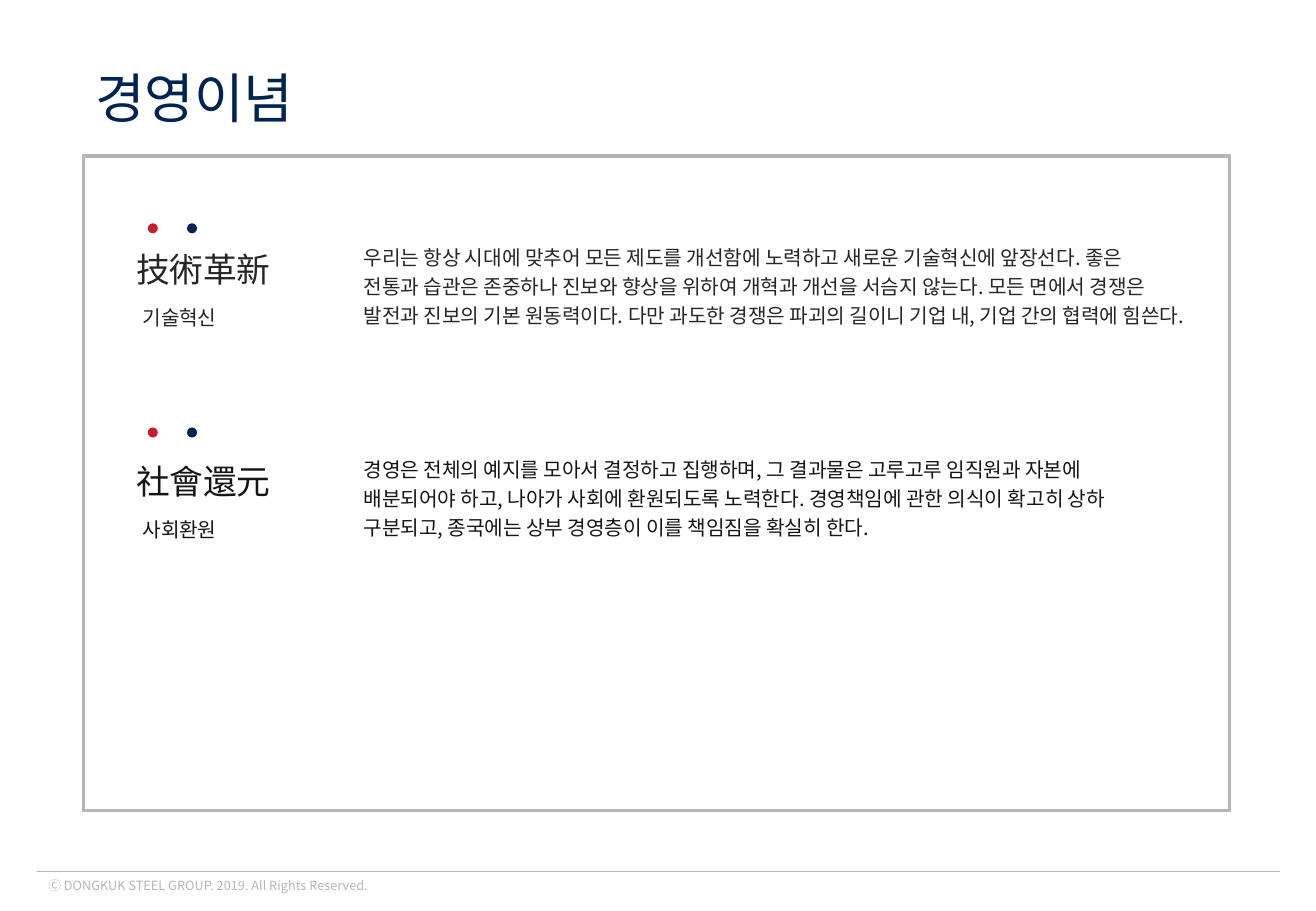
import pptx
import pptx.dml.color
import pptx.enum.shapes
import pptx.enum.text
import pptx.oxml
import pptx.oxml.ns
import pptx.util
from pptx.util import Cm

FONT = "Noto Sans CJK KR"
NAVY, RED, GREY = "002452", "C51F2A", "B6B6B6"
ALIGN = pptx.enum.text.PP_ALIGN
ANCHOR = pptx.enum.text.MSO_ANCHOR
SHAPES = pptx.enum.shapes.MSO_SHAPE

PRINCIPLES = [
    {"top": 4.9, "dot_rise": 0.23, "width": 17.58, "color": "262626",
     "hanja": "技術革新", "hangul": "기술혁신",
     "body": "우리는 항상 시대에 맞추어 모든 제도를 개선함에 노력하고 새로운 기술혁신에 앞장선다. "
             "좋은 전통과 습관은 존중하나 진보와 향상을 위하여 개혁과 개선을 서슴지 않는다. "
             "모든 면에서 경쟁은 발전과 진보의 기본 원동력이다. "
             "다만 과도한 경쟁은 파괴의 길이니 기업 내, 기업 간의 협력에 힘쓴다."},
    {"top": 9.33, "dot_rise": 0.39, "width": 17.22, "color": "161516",
     "hanja": "社會還元", "hangul": "사회환원",
     "body": "경영은 전체의 예지를 모아서 결정하고 집행하며, 그 결과물은 고루고루 임직원과 자본에 "
             "배분되어야 하고, 나아가 사회에 환원되도록 노력한다. "
             "경영책임에 관한 의식이 확고히 상하 구분되고, "
             "종국에는 상부 경영층이 이를 책임짐을 확실히 한다."},
]


def rgb(value):
    """Turn a hex string into a colour."""
    return pptx.dml.color.RGBColor.from_string(value)


def set_attributes(target, values):
    """Set every attribute named in a dict."""
    for name, value in values.items():
        setattr(target, name, value)


def append_element(parent, tag, attributes=""):
    """Append an empty drawing element to a parent element."""
    namespace = pptx.oxml.ns.nsdecls("a")
    parent.append(pptx.oxml.parse_xml(f"<a:{tag} {namespace} {attributes}/>"))


def add_text(slide, box, text, size, color, spacing=-20, frame=None, paragraph_format=None):
    """Add a one-paragraph text box; box is left, top, width, height in centimetres."""
    text_frame = slide.shapes.add_textbox(*map(Cm, box)).text_frame
    set_attributes(text_frame, {"word_wrap": True, **(frame or {})})
    paragraph = text_frame.paragraphs[0]
    set_attributes(paragraph, paragraph_format or {})
    run = paragraph.add_run()
    run.text = text
    set_attributes(run.font, {"size": pptx.util.Pt(size), "name": FONT})
    run.font.color.rgb = rgb(color)
    properties = run.font._element
    properties.set("spc", str(spacing))
    append_element(properties, "ea", f'typeface="{FONT}"')


def add_footer(slide, left, top, width):
    """Draw the footer rule with the copyright line under it."""
    rule = slide.shapes.add_connector(
        pptx.enum.shapes.MSO_CONNECTOR.STRAIGHT, Cm(left), Cm(top), Cm(left + width), Cm(top))
    rule.line.color.rgb = rgb(GREY)
    rule.line.width = pptx.util.Pt(0.5)
    append_element(rule._element.spPr, "effectLst")
    add_text(slide, (left - 0.01, top, 8.81, 0.58),
             "Ⓒ DONGKUK STEEL GROUP. 2019. All Rights Reserved.", 7.5, GREY, 0,
             {"vertical_anchor": ANCHOR.MIDDLE})


def add_frame(slide, left, top, width, height):
    """Draw the grey content frame with the title above it."""
    border = slide.shapes.add_shape(SHAPES.RECTANGLE, *map(Cm, (left, top, width, height)))
    border.shadow.inherit = False
    border.fill.background()
    border.line.color.rgb = rgb(GREY)
    border.line.width = pptx.util.Pt(2)
    append_element(border.line._get_or_add_ln(), "miter", 'lim="800000"')
    add_text(slide, (left, top - 1.87, 8.89, 1.32), "경영이념", 32, NAVY,
             frame={"vertical_anchor": ANCHOR.BOTTOM, "margin_bottom": 0},
             paragraph_format={"line_spacing": 1.1})


def add_principle(slide, left, principle):
    """Draw one principle: two dots, its names and its description."""
    top, color = principle["top"], principle["color"]
    for index, dot_color in enumerate((RED, NAVY)):
        dot = slide.shapes.add_shape(
            SHAPES.OVAL, Cm(left + 0.5 + 0.82 * index), Cm(top - principle["dot_rise"]),
            Cm(0.21), Cm(0.21))
        dot.shadow.inherit = False
        dot.fill.solid()
        dot.fill.fore_color.rgb = rgb(dot_color)
        dot.line.fill.background()
    label = {"frame": {"vertical_anchor": ANCHOR.MIDDLE},
             "paragraph_format": {"alignment": ALIGN.JUSTIFY}}
    add_text(slide, (left + 0.01, top + 0.15, 3.81, 1.14), principle["hanja"], 20, color, **label)
    add_text(slide, (left + 0.15, top + 1.17, 3.51, 1.14), principle["hangul"], 12, color, **label)
    add_text(slide, (left + 4.76, top, principle["width"], 2.01), principle["body"], 12, color,
             spacing=-7, paragraph_format={"line_spacing": 1.2})


def main():
    """Build the management philosophy slide."""
    presentation = pptx.Presentation()
    set_attributes(presentation, {"slide_width": Cm(27.51), "slide_height": Cm(19.05)})
    slide = presentation.slides.add_slide(presentation.slide_layouts[6])
    add_footer(slide, 0.77, 18.22, 25.98)
    add_frame(slide, 1.75, 3.26, 23.95, 13.69)
    for principle in PRINCIPLES:
        add_principle(slide, 2.59, principle)
    presentation.save("out.pptx")


if __name__ == "__main__":
    main()
